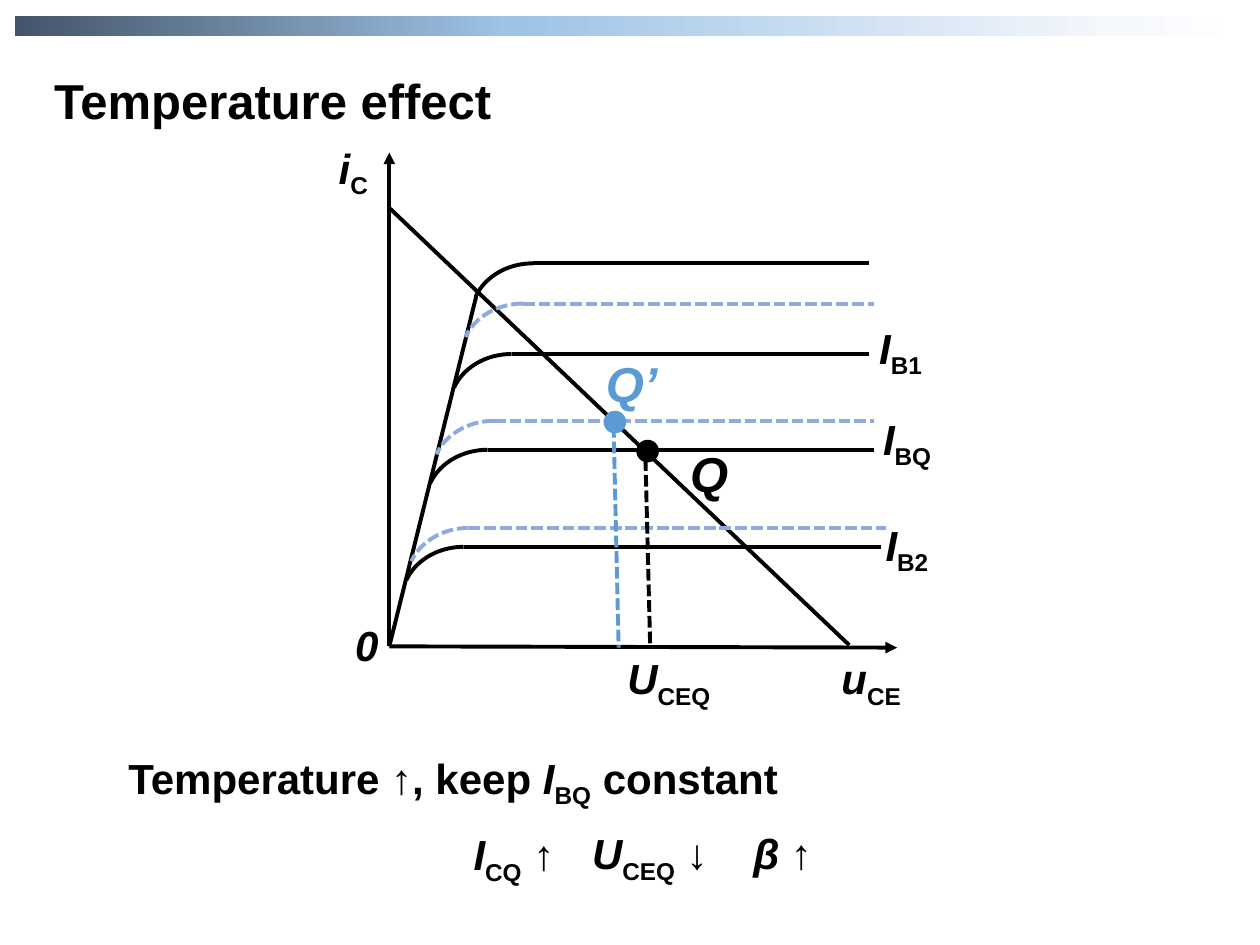
import pptx
import pptx.dml.color
import pptx.enum.dml
import pptx.enum.shapes
import pptx.enum.text
import pptx.oxml.ns
import pptx.util
from lxml import etree

Inches = pptx.util.Inches
RGBColor = pptx.dml.color.RGBColor
SHAPE = pptx.enum.shapes.MSO_SHAPE
qn = pptx.oxml.ns.qn

BLACK = RGBColor(0x00, 0x00, 0x00)
BLUE = RGBColor(0x5B, 0x9B, 0xD5)
PALE_BLUE = RGBColor(0x8F, 0xAA, 0xDC)
BAR_STOPS = [
    (0, RGBColor(0x44, 0x54, 0x6A)),
    (40, RGBColor(0x9D, 0xC3, 0xE6)),
    (89, RGBColor(0xF4, 0xF7, 0xFC)),
    (100, RGBColor(0xFF, 0xFF, 0xFF)),
]
FONT = "Arial"
PLAIN, ITALIC, SUBSCRIPT = "plain", "italic", "subscript"

ARC_WIDTH, ARC_HEIGHT = 0.98, 0.84
DOT_SIZE = 0.18

# Output curves: left and top of the bend, right end of the flat part
CURVES = [(3.74, 2.09, 6.9), (3.57, 2.81, 6.9), (3.38, 3.57, 6.94), (3.19, 4.34, 6.99)]
WARM_CURVES = [(3.66, 2.41, 6.94), (3.43, 3.34, 6.94), (3.23, 4.19, 7.03)]

# Symbol, subscript, left, top, width
AXIS_AND_CURVE_LABELS = [
    ("i", "C", 2.59, 1.08, 0.6),
    ("u", "CE", 6.58, 5.13, 0.83),
    ("I", "B1", 6.88, 2.51, 0.64),
    ("I", "BQ", 6.91, 3.23, 0.65),
    ("I", "B2", 6.93, 4.07, 0.64),
    ("U", "CEQ", 4.88, 5.13, 0.95),
]


def style_line(line, color, dashed):
    line.color.rgb = color
    line.width = pptx.util.Pt(2.25)
    if dashed:
        line.dash_style = pptx.enum.dml.MSO_LINE.SQUARE_DOT


def add_line(slide, start, end, color=BLACK, dashed=False, arrow=False):
    line = slide.shapes.add_connector(
        pptx.enum.shapes.MSO_CONNECTOR.STRAIGHT,
        *(Inches(value) for value in (*start, *end)))
    style_line(line.line, color, dashed)
    if arrow:
        etree.SubElement(line.line._get_or_add_ln(), qn("a:tailEnd"), type="triangle")
    etree.SubElement(line._element.spPr, qn("a:effectLst"))


def add_shape(slide, kind, left, top, width, height):
    shape = slide.shapes.add_shape(
        kind, *(Inches(value) for value in (left, top, width, height)))
    shape.shadow.inherit = False
    return shape


def add_curve(slide, left, top, right, color=BLACK, dashed=False):
    """Draw one output curve: a bend up to the flat part, then the flat part."""
    bend = add_shape(slide, SHAPE.ARC, left, top, ARC_WIDTH, ARC_HEIGHT)
    bend.adjustments[0] = 162
    bend.adjustments[1] = 204.745
    bend._element.spPr.xfrm.set("flipH", "1")
    bend.fill.background()
    style_line(bend.line, color, dashed)
    add_line(slide, (left + ARC_WIDTH / 2, top), (right, top), color, dashed)


def add_dot(slide, left, top, color):
    dot = add_shape(slide, SHAPE.OVAL, left, top, DOT_SIZE, DOT_SIZE)
    dot.fill.solid()
    dot.fill.fore_color.rgb = color
    dot.line.fill.background()


def add_gradient_bar(slide):
    bar = add_shape(slide, SHAPE.RECTANGLE, 0.12, 0.13, 9.76, 0.16)
    bar.line.fill.background()
    bar.fill.gradient()
    bar.fill.gradient_angle = 0
    stops = bar._element.spPr.find(qn("a:gradFill")).find(qn("a:gsLst"))
    for stop in list(stops):
        stops.remove(stop)
    for percent, color in BAR_STOPS:
        stop = etree.SubElement(stops, qn("a:gs"), pos=str(percent * 1000))
        etree.SubElement(stop, qn("a:srgbClr"), val=str(color))


def format_run(run, size, color, style=PLAIN):
    run.font.name = FONT
    run.font.size = pptx.util.Pt(size)
    run.font.bold = True
    run.font.italic = style == ITALIC
    run.font.color.rgb = color
    if style == SUBSCRIPT:
        run._r.get_or_add_rPr().set("baseline", "-25000")


def add_text(slide, pieces, left, top, width, size=24, color=BLACK):
    """Add a one-line text box; pieces are pairs of text and style."""
    box = slide.shapes.add_textbox(
        Inches(left), Inches(top), Inches(width), Inches(0.59))
    box.text_frame.word_wrap = True
    para = box.text_frame.paragraphs[0]
    for text, style in pieces:
        run = para.add_run()
        run.text = text
        format_run(run, size, color, style)


def set_title(slide, text):
    title = slide.shapes.title
    title.left, title.top = Inches(0.33), Inches(0.51)
    title.width, title.height = Inches(3.79), Inches(0.57)
    frame = title.text_frame
    frame.text = text
    frame.auto_size = pptx.enum.text.MSO_AUTO_SIZE.NONE
    frame.vertical_anchor = pptx.enum.text.MSO_ANCHOR.TOP
    para = frame.paragraphs[0]
    para.alignment = pptx.enum.text.PP_ALIGN.JUSTIFY
    format_run(para.runs[0], 28, BLACK)


def add_graph(slide):
    origin = (3.09, 5.13)
    add_line(slide, origin, (3.09, 1.21), arrow=True)
    add_line(slide, origin, (7.12, 5.14), arrow=True)
    add_line(slide, origin, (3.78, 2.35))
    for curve in CURVES:
        add_curve(slide, *curve)
    add_line(slide, (3.09, 1.65), (6.74, 5.12))
    for curve in WARM_CURVES:
        add_curve(slide, *curve, color=PALE_BLUE, dashed=True)

    add_line(slide, (5.12, 3.52), (5.16, 5.12), dashed=True)
    add_dot(slide, 5.05, 3.49, BLACK)
    add_line(slide, (4.87, 3.38), (4.91, 5.14), BLUE, dashed=True)
    add_dot(slide, 4.79, 3.26, BLUE)

    for symbol, subscript, left, top, width in AXIS_AND_CURVE_LABELS:
        add_text(slide, [(symbol, ITALIC), (subscript, SUBSCRIPT)], left, top, width)
    add_text(slide, [("0", ITALIC)], 2.72, 4.87, 0.55)
    add_text(slide, [("Q", ITALIC)], 5.38, 3.47, 0.67, size=28)
    add_text(slide, [("Q’", ITALIC)], 4.71, 2.76, 0.67, size=28, color=BLUE)


def add_conclusions(slide):
    add_text(slide, [("Temperature ↑, keep ", PLAIN), ("I", ITALIC),
                     ("BQ", SUBSCRIPT), (" constant", PLAIN)], 0.92, 5.92, 5.63)
    add_text(slide, [("I", ITALIC), ("CQ", SUBSCRIPT), (" ↑", PLAIN)], 3.66, 6.53, 0.95)
    add_text(slide, [("U", ITALIC), ("CEQ", SUBSCRIPT), (" ↓", PLAIN)], 4.6, 6.52, 1.22)
    add_text(slide, [("β", ITALIC), (" ↑", PLAIN)], 5.88, 6.52, 0.95)


def main():
    deck = pptx.Presentation()
    deck.slide_width, deck.slide_height = Inches(10), Inches(7.5)
    slide = deck.slides.add_slide(deck.slide_layouts[5])
    add_gradient_bar(slide)
    set_title(slide, "Temperature effect")
    add_graph(slide)
    add_conclusions(slide)
    deck.save("out.pptx")


if __name__ == "__main__":
    main()
